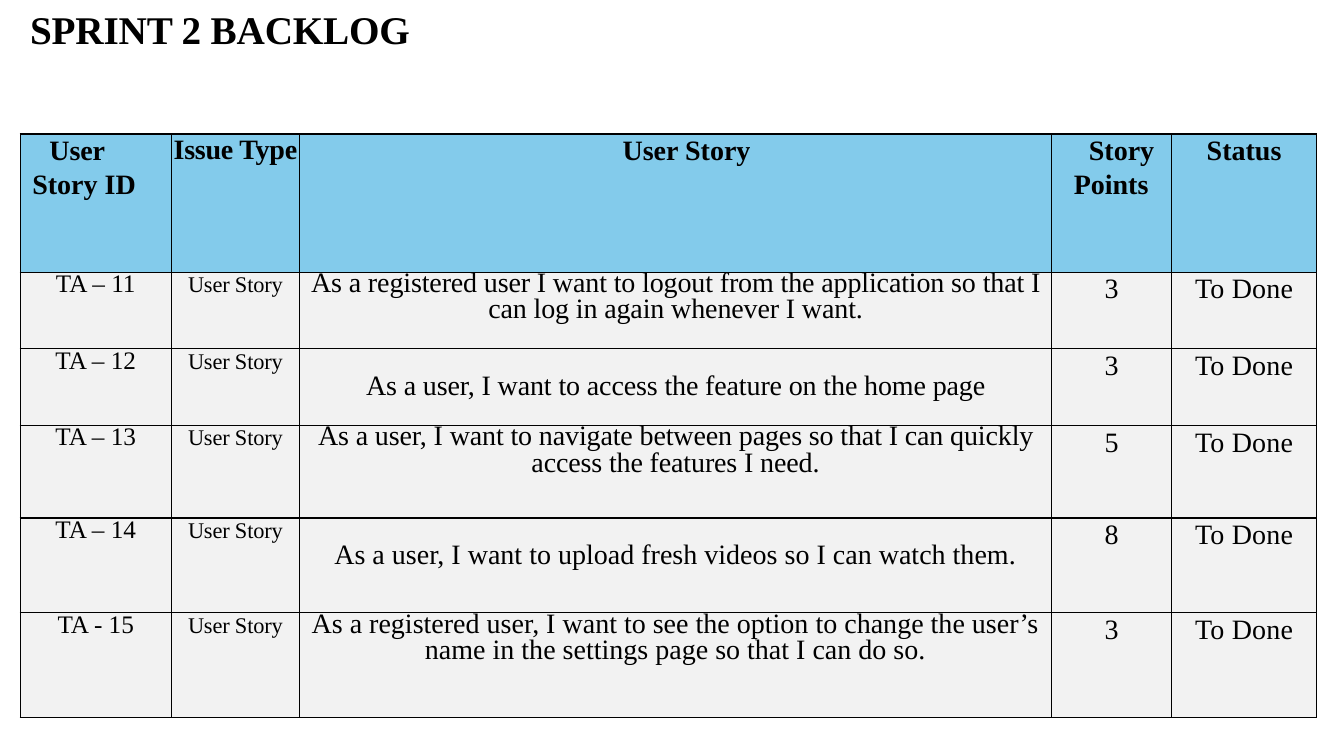
from dataclasses import dataclass

from lxml.etree import SubElement
from pptx import Presentation
from pptx.dml.color import RGBColor as Rgb
from pptx.enum.text import MSO_AUTO_SIZE as AutoSize, PP_ALIGN as Align
from pptx.oxml.ns import qn
from pptx.util import Inches, Pt


@dataclass(frozen=True)
class Theme:
    font: str = "Times New Roman"
    ink: str = "000000"
    header_fill: str = "83CBEB"
    body_fill: str = "F2F2F2"
    title_size: int = 28
    text_size: int = 20
    id_size: int = 18
    type_size: int = 16
    border: int = 1


THEME = Theme()


def write(paragraph, text, size=THEME.text_size, bold=False, align=Align.LEFT,
          tracking=0, line=None, left=0, first=0, before=None):
    """Fill a paragraph; line is a Length or a multiple, indents are inches."""
    paragraph.alignment = align
    if line is not None:
        paragraph.line_spacing = line
    if before is not None:
        paragraph.space_before = before
    if left:
        properties = paragraph._p.get_or_add_pPr()
        properties.set("marL", str(Inches(left)))
        properties.set("indent", str(Inches(first)))
    run = paragraph.add_run()
    run.text = text
    run.font.name = THEME.font
    run.font.size = Pt(size)
    run.font.bold = bold
    run.font.color.rgb = Rgb.from_string(THEME.ink)
    if tracking:
        run._r.get_or_add_rPr().set("spc", str(round(tracking * 100)))


class BacklogSlide:
    def __init__(self, deck, theme):
        self.theme = theme
        self.slide = deck.slides.add_slide(deck.slide_layouts[6])

    def title(self, text, left, top, width, height):
        box = self.slide.shapes.add_textbox(
            Inches(left), Inches(top), Inches(width), Inches(height))
        box.text_frame.word_wrap = True
        box.text_frame.auto_size = AutoSize.SHAPE_TO_FIT_TEXT
        write(box.text_frame.paragraphs[0], text, size=self.theme.title_size,
              bold=True, tracking=-0.1)

    def grid(self, left, top, widths, heights):
        frame = self.slide.shapes.add_table(
            len(heights), len(widths), Inches(left), Inches(top),
            Inches(sum(widths)), Inches(sum(heights)))
        table = frame.table
        table.first_row = table.horz_banding = False
        for column, width in zip(table.columns, widths):
            column.width = Inches(width)
        for row, height in zip(table.rows, heights):
            row.height = Inches(height)
        return table

    def cell(self, cell, fill, paragraphs, top_margin=0):
        cell.margin_left = cell.margin_right = cell.margin_bottom = 0
        cell.margin_top = Inches(top_margin)
        # Borders come before the fill in the cell properties
        properties = cell._tc.get_or_add_tcPr()
        for side in ("lnL", "lnR", "lnT", "lnB"):
            edge = SubElement(properties, qn(f"a:{side}"),
                              w=str(Pt(self.theme.border)))
            solid = SubElement(edge, qn("a:solidFill"))
            SubElement(solid, qn("a:srgbClr"), val=self.theme.ink)
        cell.fill.solid()
        cell.fill.fore_color.rgb = Rgb.from_string(fill)
        for index, (text, style) in enumerate(paragraphs):
            frame = cell.text_frame
            write(frame.add_paragraph() if index else frame.paragraphs[0],
                  text, **style)


HEAD_LINE = Pt(23.4)
CENTRED = dict(align=Align.CENTER, line=HEAD_LINE)

# Header cells: paragraphs with their formats
HEADERS = [
    [("User", dict(left=0.29, line=HEAD_LINE, tracking=-0.1)),
     ("Story ID", dict(left=0.29, first=-0.17, line=1.07))],
    [("Issue Type", dict(align=Align.CENTER, line=Pt(22.5), tracking=-0.2))],
    [("User Story", dict(CENTRED, left=0.22))],
    [("Story", dict(left=0.37, line=HEAD_LINE)),
     ("Points", dict(left=0.22, before=Pt(1.6)))],
    [("Status", CENTRED)],
]

# Formats of the body columns
BODY_STYLES = [
    dict(size=THEME.id_size, align=Align.CENTER, line=Pt(18.6)),
    dict(size=THEME.type_size, align=Align.CENTER, line=Pt(18.1), tracking=-0.1),
    dict(align=Align.CENTER, line=Pt(18.9)),
    CENTRED,
    dict(CENTRED, tracking=0.1),
]
STORY_COLUMN = 2

# ID, story, points, letter spacing and top margin of the story
STORIES = [
    ("TA – 11", "As a registered user I want to logout from the application so "
     "that I can log in again whenever I want.", 3, -0.1, 0),
    ("TA – 12", "As a user, I want to access the feature on the home page",
     3, -0.1, 0.26),
    ("TA – 13", "As a user, I want to navigate between pages so that I can "
     "quickly access the features I need.", 5, -0.1, 0),
    ("TA – 14", "As a user, I want to upload fresh videos so I can watch them.",
     8, 0, 0.26),
    ("TA - 15", "As a registered user, I want to see the option to change the "
     "user’s name in the settings page so that I can do so.", 3, 0, 0),
]


def main():
    deck = Presentation()
    deck.slide_width, deck.slide_height = Inches(13.33), Inches(7.5)
    page = BacklogSlide(deck, THEME)
    page.title("SPRINT 2 BACKLOG", 0.2, 0, 6.66, 0.57)

    # Backlog table
    backlog = page.grid(0.2, 1.33, widths=[1.5, 1.27, 7.46, 1.19, 1.44],
                        heights=[1.37, 0.76, 0.76, 0.92, 0.94, 1.04])
    for column, lines in enumerate(HEADERS):
        page.cell(backlog.cell(0, column), THEME.header_fill,
                  [(text, dict(style, bold=True)) for text, style in lines])
    for row, (story_id, story, points, tracking, margin) in enumerate(STORIES, 1):
        values = [story_id, "User Story", story, str(points), "To Done"]
        for column, (value, style) in enumerate(zip(values, BODY_STYLES)):
            is_story = column == STORY_COLUMN
            if is_story:
                style = dict(style, tracking=tracking)
            page.cell(backlog.cell(row, column), THEME.body_fill,
                      [(value, style)], margin if is_story else 0)

    deck.save("out.pptx")


if __name__ == "__main__":
    main()
